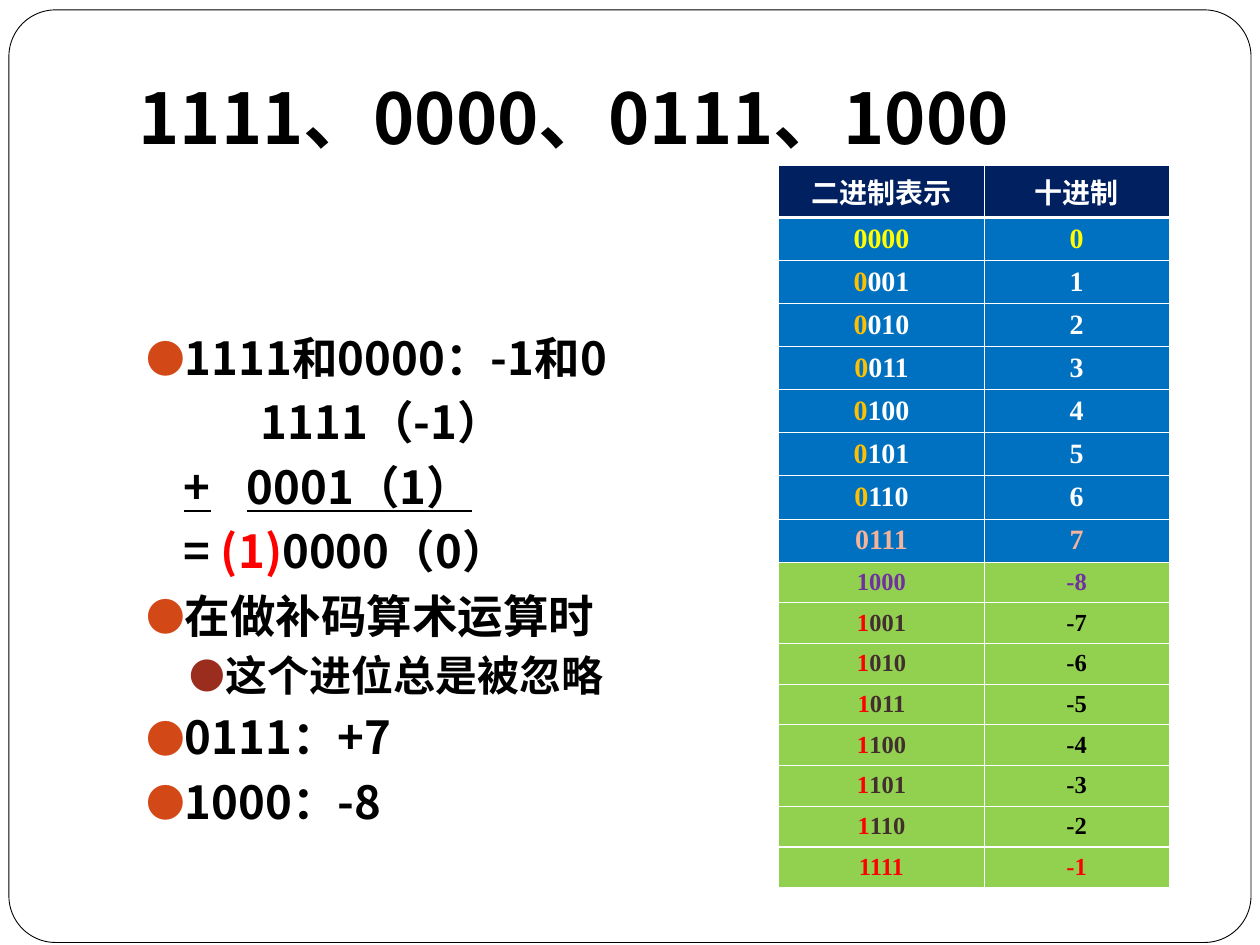
from lxml.etree import SubElement
from pptx import Presentation
from pptx.dml.color import RGBColor
from pptx.enum.shapes import MSO_SHAPE
from pptx.enum.text import MSO_ANCHOR, MSO_AUTO_SIZE, PP_ALIGN
from pptx.oxml.ns import qn
from pptx.util import Cm, Pt

BLACK = RGBColor(0x00, 0x00, 0x00)
WHITE = RGBColor(0xFF, 0xFF, 0xFF)
RED = RGBColor(0xFF, 0x00, 0x00)
YELLOW = RGBColor(0xFF, 0xFF, 0x00)
AMBER = RGBColor(0xFF, 0xC0, 0x00)
PEACH = RGBColor(0xF4, 0xB3, 0x9B)
PURPLE = RGBColor(0x70, 0x30, 0xA0)
BROWN = RGBColor(0x42, 0x2E, 0x2E)
NAVY = RGBColor(0x00, 0x20, 0x60)
BLUE = RGBColor(0x00, 0x70, 0xC0)
GREEN = RGBColor(0x92, 0xD0, 0x50)
ORANGE = RGBColor(0xD3, 0x48, 0x17)
BRICK = RGBColor(0x9B, 0x2D, 0x1F)

SANS = "Noto Sans CJK SC"
SERIF = "Times New Roman"

# Values that differ between the two list levels; lengths in cm, sizes in pt.
LEVELS = [
    {"size": 26, "before": 5.8, "line": 31, "left": 0.76, "hang": 0.76, "bullet": ORANGE},
    {"size": 24, "before": 3.7, "line": 29, "left": 1.52, "hang": 0.64, "bullet": BRICK},
]


class Deck:
    def __init__(self):
        self.file = Presentation()
        self.file.slide_width, self.file.slide_height = Cm(25.4), Cm(19.05)
        self.page = self.file.slides.add_slide(self.file.slide_layouts[1])

    def place(self, box, left, top, width, height):
        for name, value in {"left": left, "top": top, "width": width, "height": height}.items():
            setattr(box, name, Cm(value))

    def span(self, para, text, size, color, font=SANS, underline=None):
        span = para.add_run()
        span.text = text
        look = {"name": font, "size": Pt(size), "bold": True, "underline": underline}
        for name, value in look.items():
            setattr(span.font, name, value)
        span.font.color.rgb = color
        SubElement(span.font._element, qn("a:ea"), typeface=SANS)

    def frame(self, left, top, width, height):
        """Rounded page border behind everything else."""
        box = self.page.shapes.add_shape(
            MSO_SHAPE.ROUNDED_RECTANGLE, Cm(left), Cm(top), Cm(width), Cm(height))
        box.adjustments[0] = 0.05
        box.shadow.inherit = False
        box.fill.solid()
        box.fill.fore_color.rgb = WHITE
        box.line.color.rgb = BLACK
        box.line.width = Pt(0.5)
        box.element.getparent().insert(2, box.element)

    def title(self, text, *place):
        box = self.page.shapes.title
        self.place(box, *place)
        box.text_frame.auto_size = MSO_AUTO_SIZE.NONE
        box.text_frame.vertical_anchor = MSO_ANCHOR.MIDDLE
        para = box.text_frame.paragraphs[0]
        para.alignment = PP_ALIGN.LEFT
        self.span(para, text, 40, BLACK)

    def body(self, items, *place):
        """Each item: level, left indent of an unbulleted line or None, spans."""
        box = self.page.placeholders[1]
        self.place(box, *place)
        frame = box.text_frame
        frame.auto_size = MSO_AUTO_SIZE.NONE
        for index, (level, indent, spans) in enumerate(items):
            para = frame.add_paragraph() if index else frame.paragraphs[0]
            style = LEVELS[level]
            look = {"level": level, "space_before": Pt(style["before"]),
                    "line_spacing": Pt(style["line"])}
            for name, value in look.items():
                setattr(para, name, value)
            self.bullet(para, style, indent)
            for text, color, underline in spans:
                self.span(para, text, style["size"], color, underline=underline)

    def bullet(self, para, style, indent):
        props = para._p.get_or_add_pPr()
        plain = indent is not None
        props.set("marL", str(Cm(indent if plain else style["left"])))
        props.set("indent", str(0 if plain else -Cm(style["hang"])))
        if plain:
            SubElement(props, qn("a:buNone"))
            return
        color = SubElement(props, qn("a:buClr"))
        SubElement(color, qn("a:srgbClr"), val=str(style["bullet"]))
        SubElement(props, qn("a:buSzPct"), val="85000")
        SubElement(props, qn("a:buFont"), typeface=SANS)
        SubElement(props, qn("a:buChar"), char="●")

    def table(self, rows, widths, left, top, row_height):
        """Each row: fill, text size, then one list of spans per cell."""
        shape = self.page.shapes.add_table(
            len(rows), len(widths), Cm(left), Cm(top),
            Cm(sum(widths)), Cm(row_height * len(rows)))
        grid = shape.table
        grid.horz_banding = False
        for column, width in zip(grid.columns, widths):
            column.width = Cm(width)
        thick = {1, len(rows) - 1}
        for index, (fill, size, cells) in enumerate(rows):
            grid.rows[index].height = Cm(row_height)
            weights = {"L": 0.45, "R": 0.45,
                       "T": 1.47 if index in thick else 0.45,
                       "B": 1.47 if index + 1 in thick else 0.45}
            for cell, spans in zip(grid.rows[index].cells, cells):
                self.borders(cell, weights)
                cell.fill.solid()
                cell.fill.fore_color.rgb = fill
                margins = {"margin_left": 0.2, "margin_right": 0.2,
                           "margin_top": 0.12, "margin_bottom": 0.12}
                for name, value in margins.items():
                    setattr(cell, name, Cm(value))
                cell.vertical_anchor = MSO_ANCHOR.MIDDLE
                para = cell.text_frame.paragraphs[0]
                para.alignment = PP_ALIGN.CENTER
                for text, color in spans:
                    self.span(para, text, size, color, SERIF)

    def borders(self, cell, weights):
        props = cell._tc.get_or_add_tcPr()
        for side, weight in weights.items():
            line = SubElement(props, qn(f"a:ln{side}"), w=str(Pt(weight)))
            fill = SubElement(line, qn("a:solidFill"))
            SubElement(fill, qn("a:srgbClr"), val=str(WHITE))


def number_row(value):
    """Table row for a four-bit two's complement value."""
    bits = f"{value % 16:04b}"
    marked = {0: YELLOW, 7: PEACH, -8: PURPLE, -1: RED}
    fill, size = (BLUE, 16) if value >= 0 else (GREEN, 14)
    if value in marked:
        color = marked[value]
        return fill, size, [[(bits, color)], [(str(value), color)]]
    sign, rest, decimal = (AMBER, WHITE, WHITE) if value >= 0 else (RED, BROWN, BLACK)
    return fill, size, [[(bits[0], sign), (bits[1:], rest)], [(str(value), decimal)]]


def main():
    deck = Deck()
    deck.frame(0.18, 0.2, 25.04, 18.8)
    deck.title("1111、0000、0111、1000", 2.54, 0.76, 21.59, 3.18)
    deck.body([
        (0, None, [("1111和0000：-1和0", BLACK, None)]),
        (0, 2.31, [("1111（-1）", BLACK, None)]),
        (0, 0.76, [("+\t0001（1）", BLACK, True)]),
        (0, 0.76, [("= ", BLACK, None), ("(1)", RED, None), ("0000（0）", BLACK, None)]),
        (0, None, [("在做补码算术运算时", BLACK, None)]),
        (1, None, [("这个进位总是被忽略", BLACK, None)]),
        (0, None, [("0111：+7", BLACK, None)]),
        (0, None, [("1000：-8", BLACK, None)]),
    ], 2.69, 6.53, 19.99, 11)
    header = (NAVY, 16, [[("二进制表示", WHITE)], [("十进制", WHITE)]])
    numbers = [number_row(value) for value in [*range(8), *range(-8, 0)]]
    deck.table([header, *numbers], [4.14, 3.73], 15.7, 3.33, 0.82)
    deck.file.save("out.pptx")


if __name__ == "__main__":
    main()
